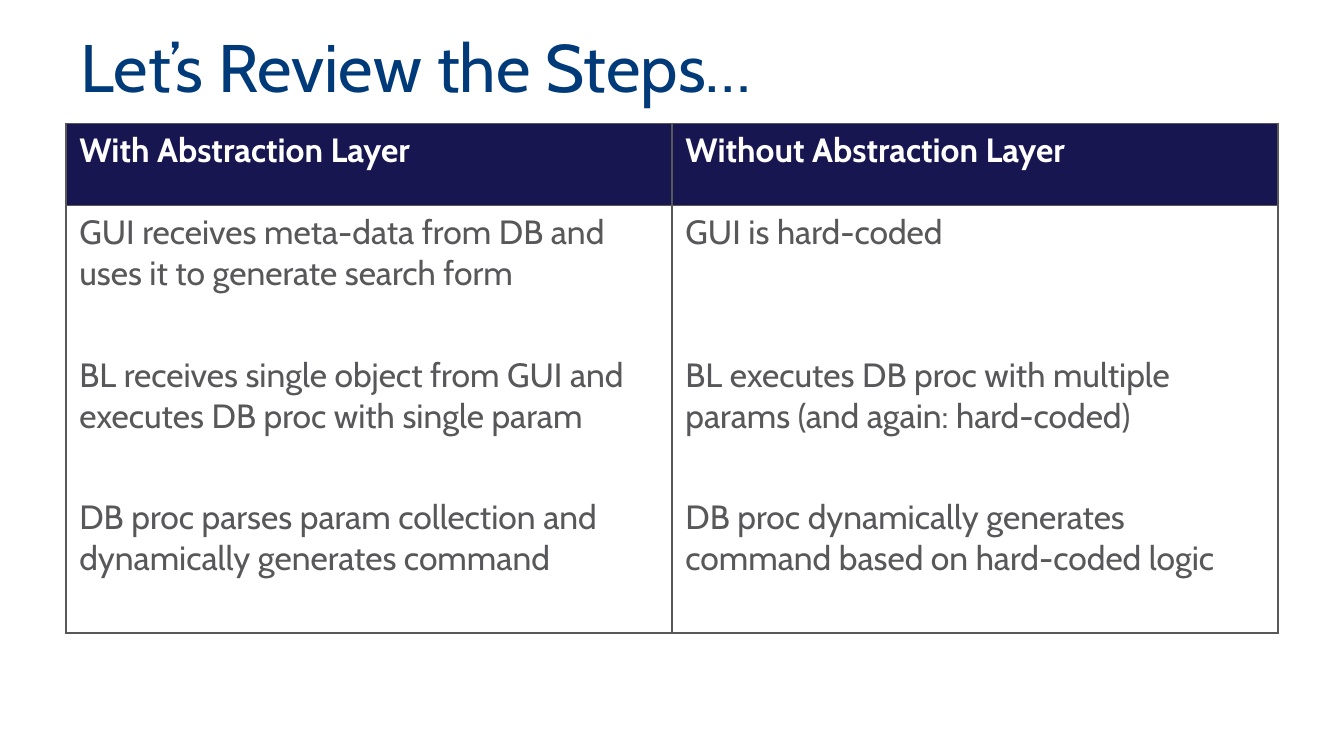
from lxml.etree import SubElement
from pptx import Presentation
from pptx.dml.color import RGBColor
from pptx.enum.text import MSO_ANCHOR as Anchor, PP_ALIGN as Align
from pptx.oxml.ns import qn
from pptx.util import Inches, Pt

BLUE = RGBColor(0x00, 0x3A, 0x78)
NAVY = RGBColor(0x18, 0x16, 0x50)
GREY = RGBColor(0x58, 0x58, 0x5A)
WHITE = RGBColor(0xFF, 0xFF, 0xFF)

ROWS = [
    ("With Abstraction Layer", "Without Abstraction Layer"),
    ("GUI receives meta-data from DB and uses it to generate search form",
     "GUI is hard-coded"),
    ("BL receives single object from GUI and executes DB proc with single param",
     "BL executes DB proc with multiple params (and again: hard-coded)"),
    ("DB proc parses param collection and dynamically generates command",
     "DB proc dynamically generates command based on hard-coded logic"),
]


def write(frame, text, size=18, color=GREY, bold=False, font="Cabin", lead=None):
    frame.word_wrap = True
    par = frame.paragraphs[0]
    par.alignment = Align.LEFT
    if lead:
        par.line_spacing = Pt(lead)
    run = par.add_run()
    run.text = text
    run.font.name = font
    run.font.size = Pt(size)
    run.font.bold = bold
    run.font.color.rgb = color


def edge(cell, sides, color=GREY, width=1):
    """Line the given sides of a cell and leave the others bare."""
    props = cell._tc.get_or_add_tcPr()
    for side in "LRTB":
        line = SubElement(props, qn(f"a:ln{side}"), w=str(Pt(width)))
        if side in sides:
            fill = SubElement(line, qn("a:solidFill"))
            SubElement(fill, qn("a:srgbClr"), val=str(color))
        else:
            SubElement(line, qn("a:noFill"))


class Deck:
    def __init__(self, wide, high):
        self.prs = Presentation()
        self.prs.slide_width = Inches(wide)
        self.prs.slide_height = Inches(high)
        self.slide = self.prs.slides.add_slide(self.prs.slide_layouts[5])

    def title(self, text, x, y, w, h):
        shape = self.slide.shapes.title
        shape.left, shape.top = Inches(x), Inches(y)
        shape.width, shape.height = Inches(w), Inches(h)
        shape.text_frame.vertical_anchor = Anchor.TOP
        write(shape.text_frame, text, size=36, color=BLUE, lead=35)

    def table(self, rows, x, y, w, head, body):
        """Draw a header row and body rows with no lines between them."""
        last = len(rows) - 1
        frame = self.slide.shapes.add_table(
            len(rows), len(rows[0]), Inches(x), Inches(y),
            Inches(w), Inches(head + body * last))
        grid = frame.table
        grid.horz_banding = False
        for i, texts in enumerate(rows):
            grid.rows[i].height = Inches(body if i else head)
            for j, text in enumerate(texts):
                cell = grid.cell(i, j)
                sides = "LR" + "T" * (i < 2) + "B" * (i in (0, last))
                edge(cell, sides)
                if i == 0:
                    cell.fill.solid()
                    cell.fill.fore_color.rgb = NAVY
                    write(cell.text_frame, text, color=WHITE, bold=True)
                else:
                    cell.fill.background()
                    write(cell.text_frame, text)

    def save(self):
        self.prs.save("out.pptx")


def main():
    wide = 10
    deck = Deck(wide, wide * 9 / 16)
    deck.title("Let’s Review the Steps…", 0.5, 0.25, 9, 0.67)
    deck.table(ROWS, 0.49, 0.92, 9.02, head=0.61, body=1.06)
    deck.save()


if __name__ == "__main__":
    main()
